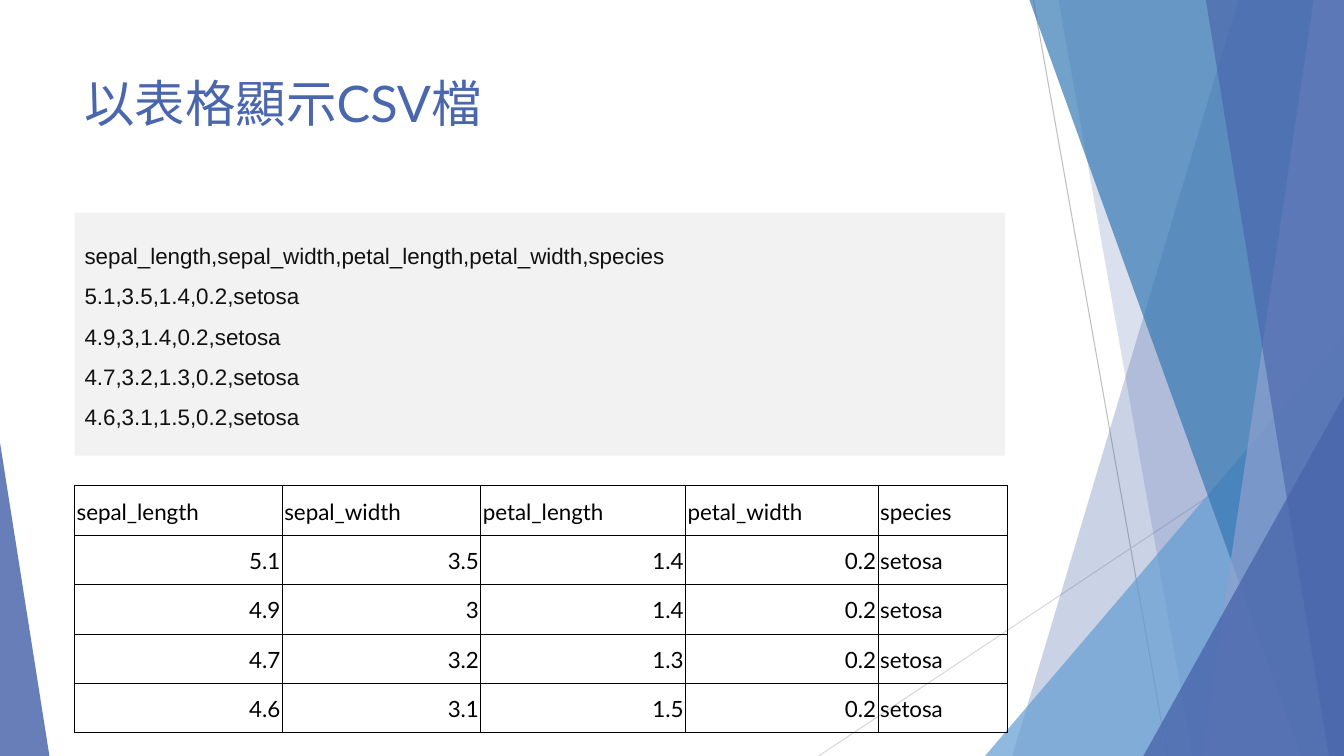
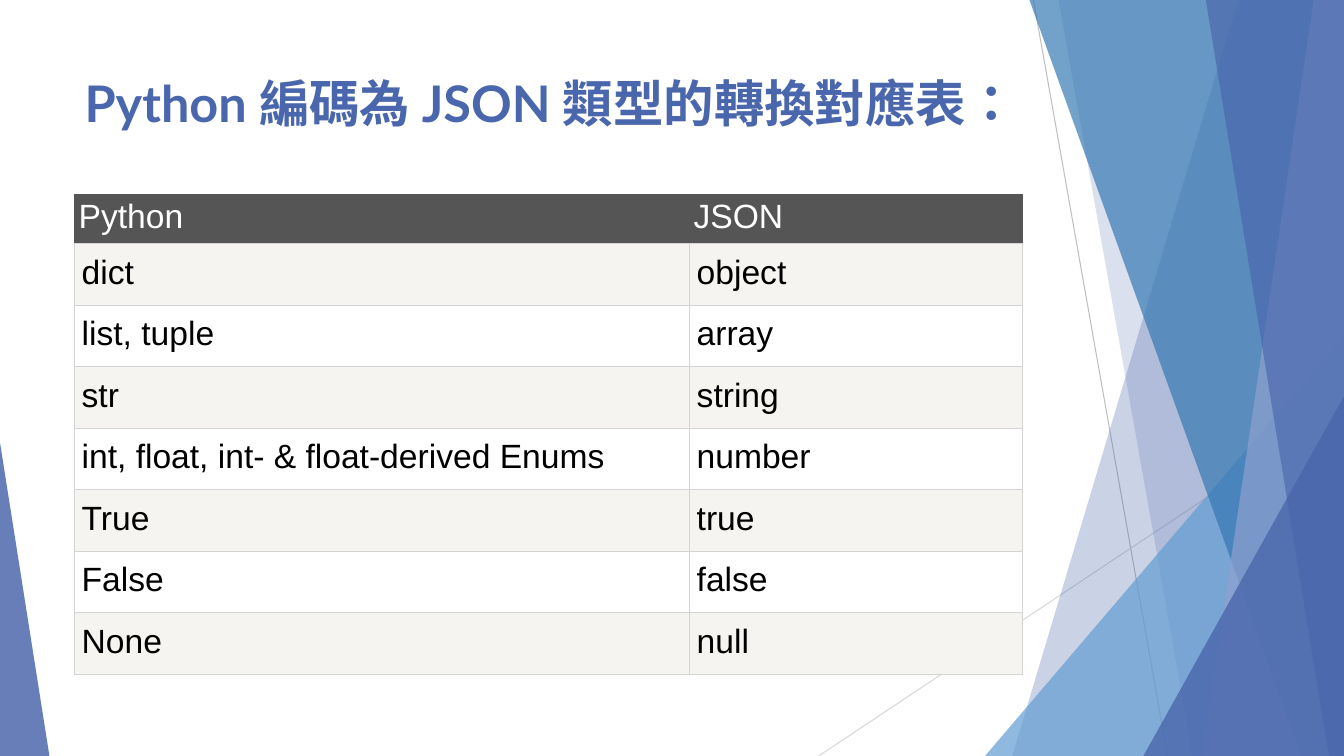
from pptx import Presentation
from pptx.dml.color import RGBColor
from pptx.enum.lang import MSO_LANGUAGE_ID
from pptx.enum.shapes import MSO_CONNECTOR, MSO_SHAPE
from pptx.enum.text import MSO_ANCHOR, PP_ALIGN
from pptx.oxml.ns import qn
from pptx.util import Inches, Pt
from lxml.etree import SubElement

WIDTH, HEIGHT, MARGIN = 13.33, 7.5, 0.74
BLUE, SKY, TEAL, LILAC = "4A66AC", "629DD1", "3477B2", "8FA1CF"
BLACK, WHITE, INK, PANEL = "000000", "FFFFFF", "111111", "F2F2F2"
HEADER, STRIPE, RULE = "555555", "F6F4F0", "D4D4D4"

THIN_LINES = [
    ((10.25, 0), (11.58, HEIGHT), "BFBFBF"),
    ((WIDTH, 4.03), (8.12, HEIGHT), "D8D8D8"),
]
FACETS = [
    ("band", 12.28, 10.04, BLUE, 29),
    ("band", 10.5, 11.83, BLUE, 20),
    ("triangle", (9.77, 3.33, 3.56, 4.17), 1, SKY, 71),
    ("band", 10.21, 12.91, TEAL, 69),
    ("band", 13.03, 11.92, LILAC, 69),
    ("band", 11.96, 13.18, BLUE, 64),
    ("triangle", (11.34, 3.93, 1.99, 3.57), 1, BLUE, 80),
    ("triangle", (0, 4.39, 0.49, 3.11), 0, BLUE, 84),
]

CSV_TITLE = [("以表格顯示CSV檔", {"name": "Lato"})]
CSV_LINES = [
    "sepal_length,sepal_width,petal_length,petal_width,species",
    "5.1,3.5,1.4,0.2,setosa",
    "4.9,3,1.4,0.2,setosa",
    "4.7,3.2,1.3,0.2,setosa",
    "4.6,3.1,1.5,0.2,setosa",
]
CSV_COLUMNS = [2.06, 1.97, 2.03, 1.91, 1.28]

JSON_TITLE = [
    ("Python 編碼為 JSON ", {"name": "Lato", "bold": True}),
    ("類型的轉換對應表：", {"name": "Arial", "bold": True}),
]
JSON_ROWS = [
    ("Python", "JSON"),
    ("dict", "object"),
    ("list, tuple", "array"),
    ("str", "string"),
    ("int, float, int- & float-derived Enums", "number"),
    ("True", "true"),
    ("False", "false"),
    ("None", "null"),
]
JSON_COLUMNS = [6.1, 3.3]


def rgb(color):
    return RGBColor.from_string(color)


def inches(values):
    return [Inches(value) for value in values]


def assign(target, values):
    for name, value in values.items():
        setattr(target, name, value)


def set_margins(target, margins):
    sides = ("margin_left", "margin_top", "margin_right", "margin_bottom")
    assign(target, dict(zip(sides, inches(margins))))


def add_span(para, text, size, color, formats):
    span = para.add_run()
    span.text = text
    assign(span.font, {"size": Pt(size), **formats})
    span.font.color.rgb = rgb(color)


def paint(shape, color, opacity=100):
    shape.shadow.inherit = False
    shape.line.fill.background()
    shape.fill.solid()
    shape.fill.fore_color.rgb = rgb(color)
    if opacity < 100:
        swatch = shape.fill._xPr.find(qn("a:solidFill"))[0]
        SubElement(swatch, qn("a:alpha"), val=str(opacity * 1000))


def add_band(page, top_x, bottom_x):
    outline = page.shapes.build_freeform(Inches(top_x), 0)
    corners = [(WIDTH, 0), (WIDTH, HEIGHT), (bottom_x, HEIGHT)]
    outline.add_line_segments([inches(corner) for corner in corners], close=True)
    return outline.convert_to_shape()


def add_triangle(page, place, apex):
    triangle = page.shapes.add_shape(MSO_SHAPE.ISOSCELES_TRIANGLE, *inches(place))
    triangle.adjustments[0] = apex
    return triangle


def add_backdrop(page):
    for start, end, color in THIN_LINES:
        line = page.shapes.add_connector(
            MSO_CONNECTOR.STRAIGHT, *inches(start), *inches(end))
        line.line.width = Pt(0.75)
        line.line.color.rgb = rgb(color)
        SubElement(line._element.spPr, qn("a:effectLst"))
    builders = {"band": add_band, "triangle": add_triangle}
    for kind, first, second, color, opacity in FACETS:
        paint(builders[kind](page, first, second), color, opacity)


def add_title(page, parts):
    box = page.shapes.add_textbox(*inches((MARGIN, 0.67, 9.4, 1.44)))
    box.text_frame.word_wrap = True
    for text, formats in parts:
        language = {"language_id": MSO_LANGUAGE_ID.TRADITIONAL_CHINESE}
        add_span(box.text_frame.paragraphs[0], text, 36, BLUE, {**formats, **language})


def start_page(deck, title):
    page = deck.slides.add_slide(deck.slide_layouts[6])
    add_backdrop(page)
    add_title(page, title)
    return page


def add_code_panel(page, lines):
    panel = page.shapes.add_shape(
        MSO_SHAPE.RECTANGLE, *inches((MARGIN, 2.11, 9.23, 2.41)))
    paint(panel, PANEL)
    frame = panel.text_frame
    assign(frame, {"word_wrap": True, "vertical_anchor": MSO_ANCHOR.MIDDLE})
    set_margins(frame, (0.1, 0.17, 0.1, 0.26))
    for index, text in enumerate(lines):
        para = frame.add_paragraph() if index else frame.paragraphs[0]
        assign(para, {"alignment": PP_ALIGN.LEFT, "line_spacing": 1.5})
        add_span(para, text, 16, INK, {"name": "Arial"})


def set_borders(cell, side_colors):
    properties = cell._tc.get_or_add_tcPr()
    for index, (side, color) in enumerate(zip("LRTB", side_colors)):
        border = SubElement(properties, qn(f"a:ln{side}"), w=str(Pt(0.75)))
        fill = SubElement(border, qn("a:solidFill"))
        SubElement(fill, qn("a:srgbClr"), val=color)
        properties.insert(index, border)


def add_grid(page, top, columns, heights, rows, style_cell):
    place = inches((MARGIN, top, sum(columns), sum(heights)))
    table = page.shapes.add_table(len(rows), len(columns), *place).table
    assign(table, {"first_row": False, "horz_banding": False})
    for column, width in zip(table.columns, columns):
        column.width = Inches(width)
    for row, height in zip(table.rows, heights):
        row.height = Inches(height)
    for row_index, values in enumerate(rows):
        for column_index, text in enumerate(values):
            style_cell(table.cell(row_index, column_index), text, row_index)


def style_csv_cell(cell, text, row_index):
    cell.vertical_anchor = MSO_ANCHOR.MIDDLE
    set_margins(cell, (0.02, 0.02, 0.02, 0))
    cell.fill.background()
    set_borders(cell, [BLACK] * 4)
    para = cell.text_frame.paragraphs[0]
    is_number = text[0].isdigit()
    para.alignment = PP_ALIGN.RIGHT if is_number else PP_ALIGN.LEFT
    add_span(para, text, 16, BLACK, {"name": "Lato"})


def style_json_cell(cell, text, row_index):
    is_header = row_index == 0
    set_margins(cell, [0.04] * 4 if is_header else (0.07, 0.1, 0.07, 0.1))
    cell.fill.solid()
    body_fill = STRIPE if row_index % 2 else WHITE
    cell.fill.fore_color.rgb = rgb(HEADER if is_header else body_fill)
    set_borders(cell, [HEADER] * 3 + [RULE] if is_header else [RULE] * 4)
    color = WHITE if is_header else BLACK
    add_span(cell.text_frame.paragraphs[0], text, 24, color, {"name": "Arial"})


def main():
    deck = Presentation()
    assign(deck, {"slide_width": Inches(WIDTH), "slide_height": Inches(HEIGHT)})

    csv_page = start_page(deck, CSV_TITLE)
    add_code_panel(csv_page, CSV_LINES)
    csv_rows = [line.split(",") for line in CSV_LINES]
    add_grid(csv_page, 4.82, CSV_COLUMNS, [0.49] * len(csv_rows), csv_rows, style_csv_cell)

    json_page = start_page(deck, JSON_TITLE)
    json_heights = [0.49] + [0.61] * (len(JSON_ROWS) - 1)
    add_grid(json_page, 1.93, JSON_COLUMNS, json_heights, JSON_ROWS, style_json_cell)

    deck.save("out.pptx")


if __name__ == "__main__":
    main()
